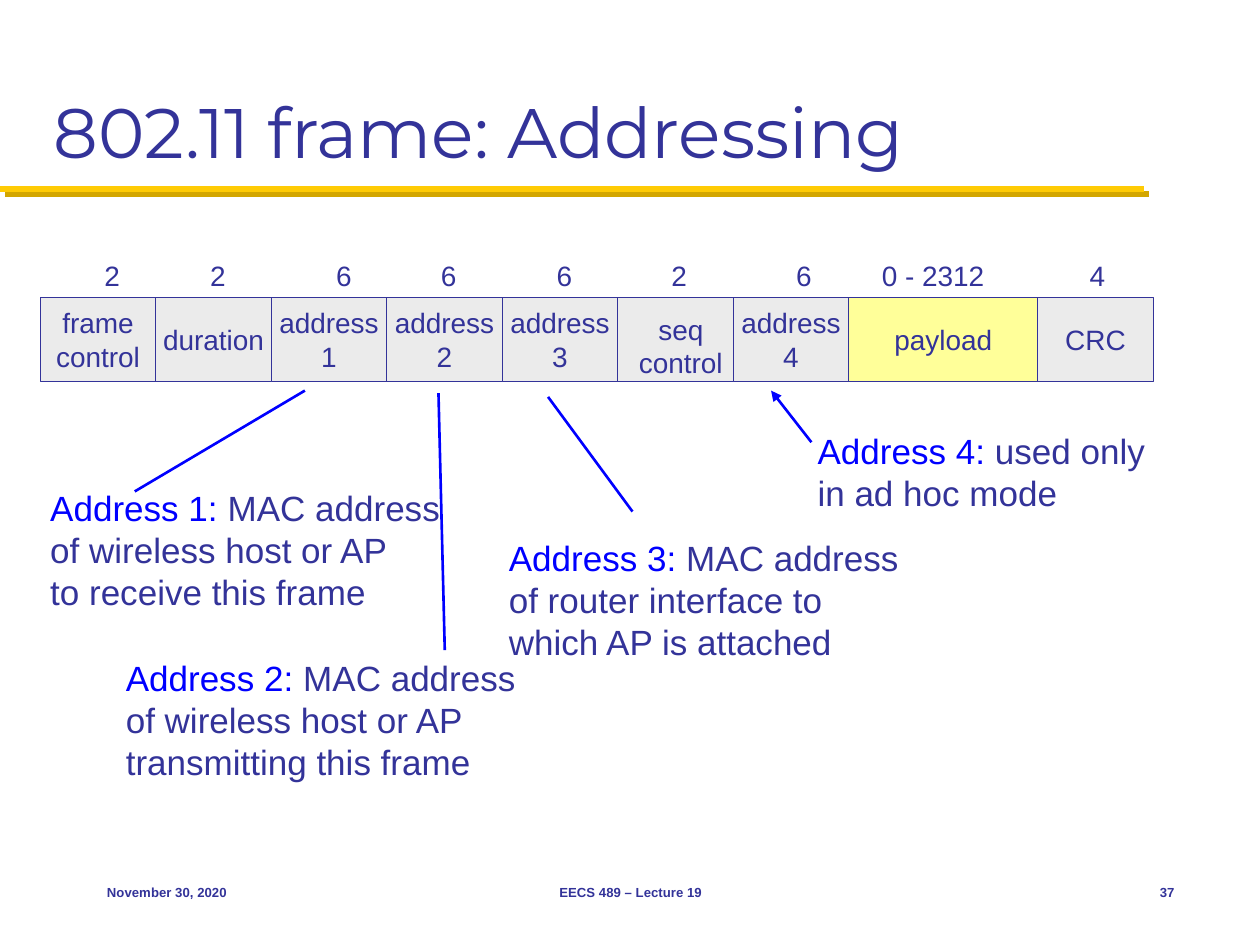
import dataclasses

import pptx
import pptx.dml.color
import pptx.enum.shapes
import pptx.enum.text
import pptx.util
from lxml import etree
from pptx.oxml.ns import qn
from pptx.util import Inches

ALIGN = pptx.enum.text.PP_ALIGN
ANCHOR = pptx.enum.text.MSO_ANCHOR
GROW = pptx.enum.text.MSO_AUTO_SIZE.SHAPE_TO_FIT_TEXT
rgb = pptx.dml.color.RGBColor.from_string


@dataclasses.dataclass(frozen=True)
class Theme:
    ink: str = "333399"
    accent: str = "0000FF"
    gold: str = "FFCB05"
    gold_shadow: str = "D3A600"
    field: str = "EBEBEB"
    payload: str = "FFFF99"
    title_font: str = "Montserrat"
    body_font: str = "Arial"
    title_size: float = 40
    note_size: float = 20
    field_size: float = 16
    footer_size: float = 7.5


THEME = Theme()
FIELD_WIDTH = 11 / 12
PAYLOAD_WIDTH = 1.5

# Field name lines, byte count, left edge of the byte count, its width
FIELDS = [
    (["frame", "control"], "2", 0.73, 0.33),
    (["duration"], "2", 1.57, 0.33),
    (["address", "1"], "6", 2.57, 0.33),
    (["address", "2"], "6", 3.4, 0.33),
    (["address", "3"], "6", 4.32, 0.33),
    (["seq", "control"], "2", 5.23, 0.33),
    (["address", "4"], "6", 6.22, 0.33),
    (["payload"], "0 - 2312", 6.9, 1.03),
    (["CRC"], "4", 8.55, 0.33),
]

# Label, remaining lines, text box, wrapping, pointer start and end, arrowhead
NOTES = [
    ("Address 1: ", ["MAC address", "of wireless host or AP", "to receive this frame"],
     (0.3, 3.81, 3.32, 1.11), False, (1.07, 3.9), (2.42, 3.1), False),
    ("Address 2: ", ["MAC address", "of wireless host or AP", "transmitting this frame"],
     (0.9, 5.16, 3.32, 1.11), False, (3.53, 5.16), (3.48, 3.12), False),
    ("Address 3: ", ["MAC address", "of router interface to which AP is attached"],
     (3.94, 4.21, 3.34, 1.11), True, (5.02, 4.06), (4.35, 3.15), False),
    ("Address 4: ", ["used only in ad hoc mode"],
     (6.39, 3.36, 2.85, 0.77), True, (6.44, 3.51), (6.12, 3.1), True),
]

FOOTERS = [
    ("November 30, 2020", (0.75, 6.83, 2.08, 0.5), ALIGN.LEFT),
    ("EECS 489 – Lecture 19", (3.42, 6.83, 3.17, 0.5), ALIGN.CENTER),
    ("37", (8.75, 6.83, 0.67, 0.5), ALIGN.RIGHT),
]


def set_all(target, values):
    for name, value in values.items():
        setattr(target, name, value)


def write(shape, lines, size, align=ALIGN.LEFT, font=THEME.body_font, bold=False, **frame):
    """Fill a shape with paragraphs, each a list of (text, colour) spans."""
    set_all(shape.text_frame, frame)
    for index, spans in enumerate(lines):
        para = shape.text_frame.paragraphs[0] if index == 0 else shape.text_frame.add_paragraph()
        para.alignment = align
        for text, color in spans:
            span = para.add_run()
            span.text = text
            set_all(span.font, {"name": font, "size": pptx.util.Pt(size), "bold": bold})
            span.font.color.rgb = rgb(color)


def add_text(page, box, lines, size, **options):
    shape = page.shapes.add_textbox(*map(Inches, box))
    write(shape, lines, size, **options)


def add_line(page, start, end, color, width):
    line = page.shapes.add_connector(
        pptx.enum.shapes.MSO_CONNECTOR.STRAIGHT, *map(Inches, start + end))
    line.line.color.rgb = rgb(color)
    line.line.width = pptx.util.Pt(width)
    effects = etree.SubElement(line._element.spPr, qn("a:effectLst"))
    return line, effects


def add_heading(page, box):
    """Title with the gold rule and its offset shadow beneath it."""
    rule_top = 1.5
    _, effects = add_line(page, (0, rule_top), (9.08, rule_top), THEME.gold, 3.5)
    shadow = etree.SubElement(effects, qn("a:outerShdw"), {
        "dist": str(pptx.util.Pt(4.2)), "dir": "2700000", "algn": "ctr", "rotWithShape": "0"})
    etree.SubElement(shadow, qn("a:srgbClr"), val=THEME.gold_shadow)
    add_text(page, box, [[("802.11 frame: Addressing", THEME.ink)]], THEME.title_size,
             font=THEME.title_font, word_wrap=True, vertical_anchor=ANCHOR.BOTTOM)


def add_frame_layout(page, left, top, height):
    """Row of frame fields with the byte count above each."""
    for names, count, count_left, count_width in FIELDS:
        is_payload = names == ["payload"]
        width = PAYLOAD_WIDTH if is_payload else FIELD_WIDTH
        field = page.shapes.add_shape(
            pptx.enum.shapes.MSO_SHAPE.RECTANGLE, *map(Inches, (left, top, width, height)))
        field.shadow.inherit = False
        field.fill.solid()
        field.fill.fore_color.rgb = rgb(THEME.payload if is_payload else THEME.field)
        field.line.color.rgb = rgb(THEME.ink)
        field.line.width = pptx.util.Pt(0.75)

        lines = [[(name, THEME.ink)] for name in names]
        options = {"align": ALIGN.CENTER, "word_wrap": False}
        if names[0] == "seq":
            add_text(page, (left + 0.06, top + 0.07, 0.88, 0.64), lines, THEME.field_size,
                     auto_size=GROW, **options)
        else:
            write(field, lines, THEME.field_size, vertical_anchor=ANCHOR.MIDDLE, **options)
        add_text(page, (count_left, top - 0.36, count_width, 0.37), [[(count, THEME.ink)]],
                 THEME.field_size, word_wrap=False, auto_size=GROW)
        left += width


def add_note(page, label, lines, box, wrap, start, end, arrow):
    """Explanation of one address field, with a pointer up to that field."""
    pointer, _ = add_line(page, start, end, THEME.accent, 1.5)
    if arrow:
        etree.SubElement(pointer.line._get_or_add_ln(), qn("a:tailEnd"), type="triangle")
    spans = [[(line, THEME.ink)] for line in lines]
    spans[0].insert(0, (label, THEME.accent))
    add_text(page, box, spans, THEME.note_size, word_wrap=wrap, auto_size=GROW)


def add_footer(page):
    for text, box, align in FOOTERS:
        add_text(page, box, [[(text, THEME.ink)]], THEME.footer_size, align=align, bold=True,
                 word_wrap=True, vertical_anchor=ANCHOR.MIDDLE)


def main():
    deck = pptx.Presentation()
    set_all(deck, {"slide_width": Inches(10), "slide_height": Inches(7.5)})
    page = deck.slides.add_slide(deck.slide_layouts[6])
    add_heading(page, (0.33, 0.17, 9.33, 1.25))
    add_frame_layout(page, left=0.32, top=2.36, height=0.67)
    for note in NOTES:
        add_note(page, *note)
    add_footer(page)
    deck.save("out.pptx")


if __name__ == "__main__":
    main()
